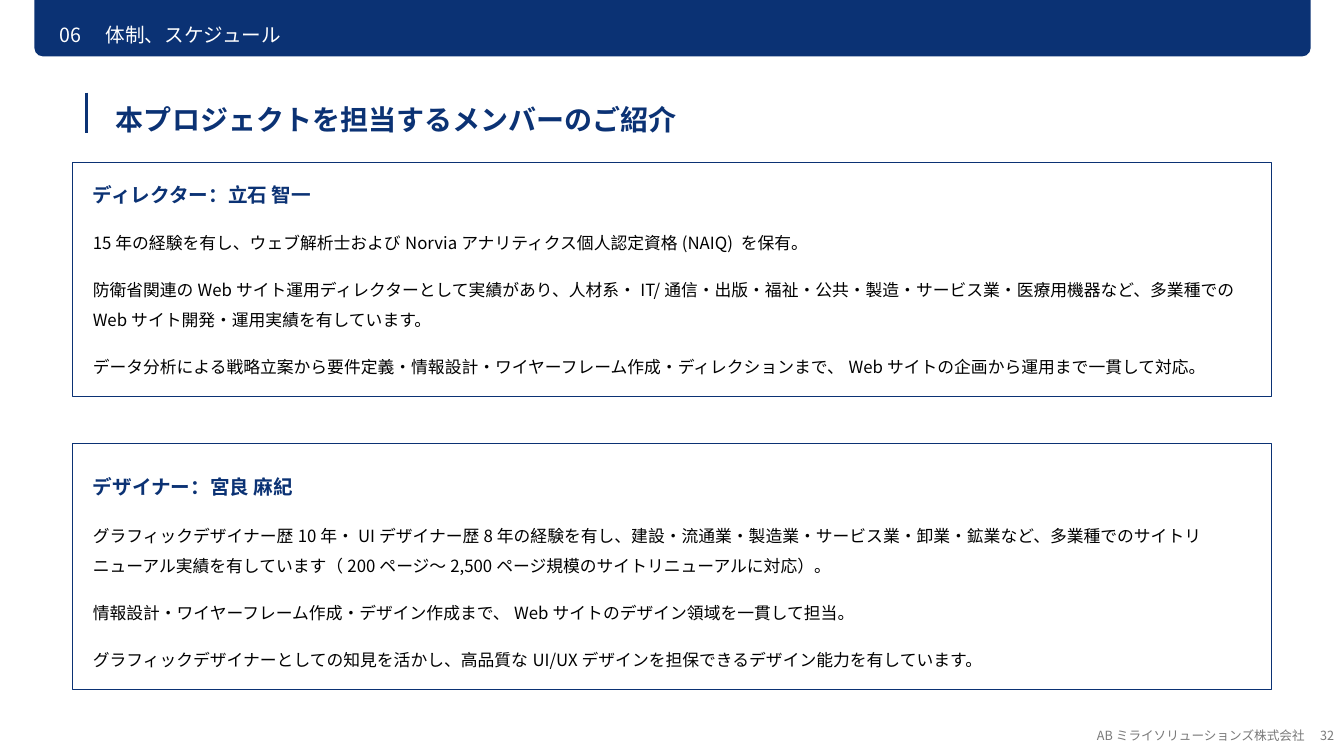
from lxml.etree import SubElement as Sub
from pptx import Presentation
from pptx.dml.color import RGBColor as Rgb
from pptx.enum.shapes import MSO_CONNECTOR as Conn, MSO_SHAPE as Shape
from pptx.enum.text import MSO_ANCHOR as Anchor, MSO_AUTO_SIZE as Fit, PP_ALIGN as Align
from pptx.oxml.ns import qn
from pptx.util import Inches, Pt

FONT = "Noto Sans CJK JP"
NAVY = "0B3274"

LEAD = [
    "15年の経験を有し、ウェブ解析士およびNorviaアナリティクス個人認定資格(NAIQ) を保有。",
    "防衛省関連のWebサイト運用ディレクターとして実績があり、人材系・IT/通信・出版・福祉・公共・製造・サービス業・医療用機器など、多業種でのWebサイト開発・運用実績を有しています。",
    "データ分析による戦略立案から要件定義・情報設計・ワイヤーフレーム作成・ディレクションまで、Webサイトの企画から運用まで一貫して対応。",
]
ARTIST = [
    "グラフィックデザイナー歴10年・UIデザイナー歴8年の経験を有し、建設・流通業・製造業・サービス業・卸業・鉱業など、多業種でのサイトリニューアル実績を有しています（200ページ〜2,500ページ規模のサイトリニューアルに対応）。",
    "情報設計・ワイヤーフレーム作成・デザイン作成まで、Webサイトのデザイン領域を一貫して担当。",
    "グラフィックデザイナーとしての知見を活かし、高品質なUI/UXデザインを担保できるデザイン能力を有しています。",
]


def paint(color):
    return Rgb.from_string(color)


def write(para, text, size=12, color="000000", bold=False, align=Align.LEFT, lead=1.0, after=0):
    para.alignment = align
    para.line_spacing = lead
    para.space_before = Pt(0)
    para.space_after = Pt(after)
    run = para.add_run()
    run.text = text
    font = run.font
    font.name = FONT
    font.size = Pt(size)
    font.bold = bold
    font.color.rgb = paint(color)
    Sub(run._r.rPr, qn("a:ea")).set("typeface", FONT)


def setup(frame, inset, wrap=True, anchor=Anchor.TOP):
    frame.auto_size = Fit.NONE
    frame.word_wrap = wrap
    frame.vertical_anchor = anchor
    frame.margin_left = frame.margin_right = Inches(inset)
    frame.margin_top = frame.margin_bottom = Inches(inset)
    return frame.paragraphs[0]


def band(slide):
    bar = slide.shapes.add_shape(
        Shape.ROUND_2_SAME_RECTANGLE, Inches(0.34), Inches(0), Inches(12.66), Inches(0.56))
    bar.rotation = 180
    bar.adjustments[0] = 0.156
    bar.shadow.inherit = False
    bar.fill.solid()
    bar.fill.fore_color.rgb = paint(NAVY)
    bar.line.fill.background()


def rule(slide):
    line = slide.shapes.add_connector(
        Conn.STRAIGHT, Inches(0.86), Inches(0.92), Inches(0.86), Inches(1.32))
    line.line.color.rgb = paint(NAVY)
    line.line.width = Pt(2)
    Sub(line._element.spPr, qn("a:effectLst"))


def head(slide, text):
    title = slide.shapes.title
    title.left, title.top = Inches(1.15), Inches(0.92)
    title.width, title.height = Inches(5.61), Inches(0.41)
    para = setup(title.text_frame, 0, wrap=False)
    write(para, text, size=20, color=NAVY, bold=True, lead=1.3)


def label(slide, x, y, w, h, text, inset=0, wrap=False, anchor=Anchor.TOP, **style):
    box = slide.shapes.add_textbox(Inches(x), Inches(y), Inches(w), Inches(h))
    write(setup(box.text_frame, inset, wrap, anchor), text, **style)


def card(slide, y, h, name, lines, lead):
    box = slide.shapes.add_shape(
        Shape.RECTANGLE, Inches(0.72), Inches(y), Inches(11.89), Inches(h))
    box.shadow.inherit = False
    box.fill.background()
    box.line.color.rgb = paint(NAVY)
    box.line.width = Pt(0.75)
    frame = box.text_frame
    write(setup(frame, 0.2), name, size=14, color=NAVY, bold=True, lead=lead, after=12)
    for text in lines:
        write(frame.add_paragraph(), text, lead=1.5, after=12)


def main():
    deck = Presentation()
    deck.slide_width, deck.slide_height = Inches(13.33), Inches(7.5)
    slide = deck.slides.add_slide(deck.slide_layouts[5])
    band(slide)
    rule(slide)
    label(slide, 0.59, 0.16, 2.21, 0.29, "06　体制、スケジュール", size=14, color="FFFFFF", lead=1.3)
    head(slide, "本プロジェクトを担当するメンバーのご紹介")
    label(slide, 10.33, 7.1, 3, 0.4, "ABミライソリューションズ株式会社　32", inset=0.1, wrap=True,
          anchor=Anchor.MIDDLE, size=9, color="797979", align=Align.RIGHT)
    card(slide, 1.61, 2.32, "ディレクター：立石 智一", LEAD, 1.0)
    card(slide, 4.4, 2.44, "デザイナー：宮良 麻紀", ARTIST, 1.5)
    deck.save("out.pptx")


if __name__ == "__main__":
    main()
